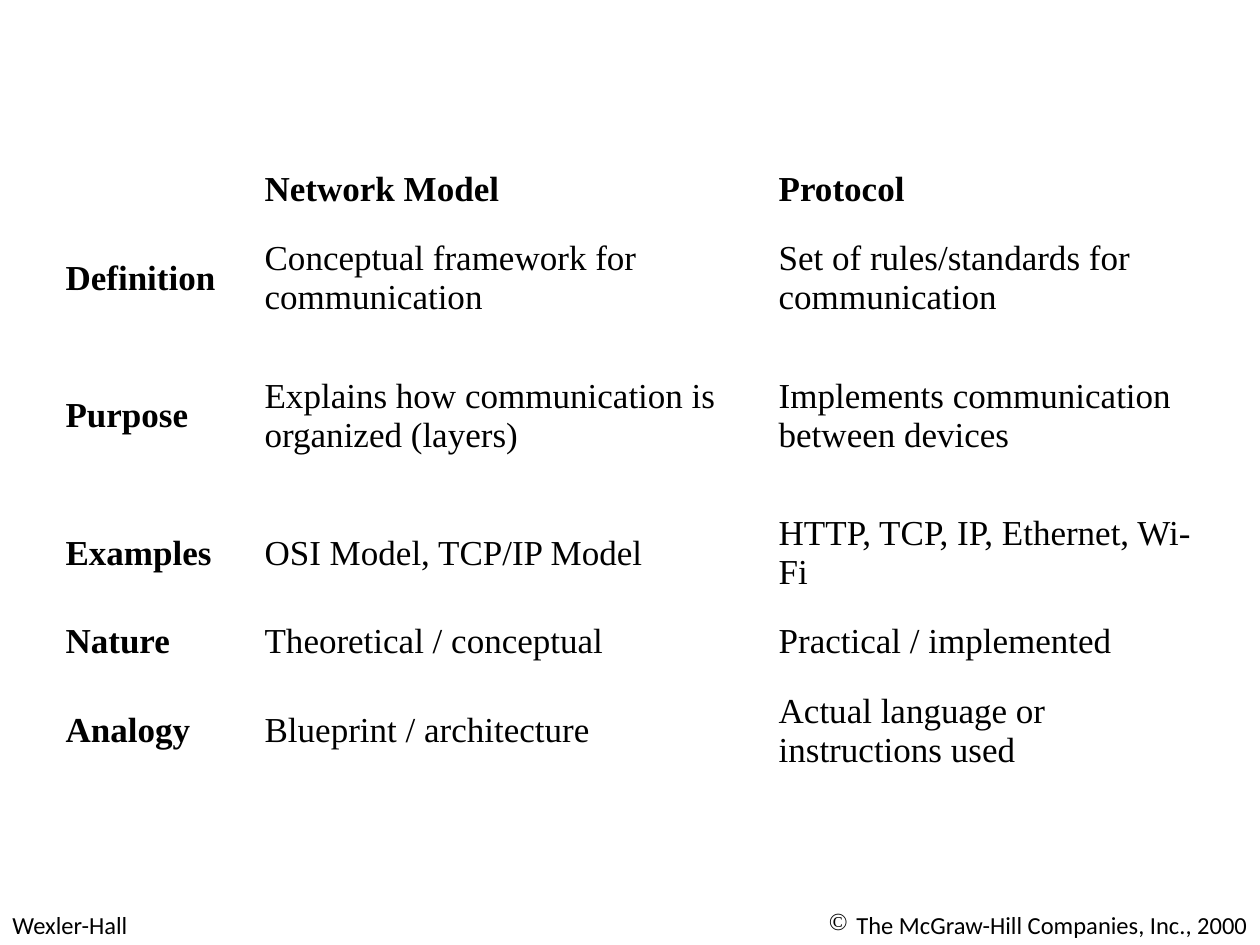
"""Build a slide with a table comparing network models and protocols."""
from dataclasses import dataclass

import pptx
import pptx.dml.color
import pptx.enum.text
import pptx.oxml
import pptx.oxml.ns
import pptx.util

Inches = pptx.util.Inches
PP_ALIGN = pptx.enum.text.PP_ALIGN
COLORS = {"text": "000000"}
COLUMN_WIDTHS = (1.58, 4.08, 3.5)
ONE_LINE, TWO_LINES, TALL = 0.51, 0.9, 1.28


@dataclass
class Row:
    label: str
    model: str
    protocol: str
    height: float


@dataclass
class Footer:
    text: str
    left: float
    width: float
    align: PP_ALIGN
    bullet: str = ""


ROWS = [
    Row("", "Network Model", "Protocol", ONE_LINE),
    Row("Definition", "Conceptual framework for communication",
        "Set of rules/standards for communication", TWO_LINES),
    Row("Purpose", "Explains how communication is organized (layers)",
        "Implements communication between devices", TALL),
    Row("Examples", "OSI Model, TCP/IP Model", "HTTP, TCP, IP, Ethernet, Wi-Fi", TWO_LINES),
    Row("Nature", "Theoretical / conceptual", "Practical / implemented", ONE_LINE),
    Row("Analogy", "Blueprint / architecture", "Actual language or instructions used", TWO_LINES),
]
FOOTERS = [
    Footer("Wexler-Hall", 0, 2.42, PP_ALIGN.LEFT),
    Footer("The McGraw-Hill Companies, Inc., 2000", 5, 5, PP_ALIGN.RIGHT, "©"),
]


def write(tf, text: str, *, font: str, size: float, bold: bool = False,
          align: PP_ALIGN = PP_ALIGN.LEFT, bullet: str = "") -> None:
    """Write one formatted paragraph into a text frame."""
    p = tf.paragraphs[0]
    p.alignment = align
    if bullet:
        pPr = p._p.get_or_add_pPr()
        pPr.set("marL", str(Inches(0.22)))
        pPr.set("indent", str(-Inches(0.22)))
        bu = pptx.oxml.parse_xml(f'<a:buChar {pptx.oxml.ns.nsdecls("a")} char="{bullet}"/>')
        pPr.append(bu)
    r = p.add_run()
    r.text = text
    r.font.name = font
    r.font.size = pptx.util.Pt(size)
    r.font.bold = bold
    r.font.color.rgb = pptx.dml.color.RGBColor.from_string(COLORS["text"])


def add_footer(slide, footer: Footer) -> None:
    """Add a footer text box along the bottom edge."""
    box = slide.shapes.add_textbox(Inches(footer.left), Inches(7.17),
                                   Inches(footer.width), Inches(0.33))
    tf = box.text_frame
    tf.word_wrap = True
    write(tf, footer.text, font="Calibri", size=14, align=footer.align, bullet=footer.bullet)


def add_comparison(slide, rows: list[Row]) -> None:
    """Add the comparison table with bold headings and no fills."""
    frame = slide.shapes.add_table(len(rows), len(COLUMN_WIDTHS), Inches(0.42), Inches(1.25),
                                   Inches(sum(COLUMN_WIDTHS)), Inches(sum(r.height for r in rows)))
    table = frame.table
    table.first_row = table.horz_banding = False
    for column, width in zip(table.columns, COLUMN_WIDTHS):
        column.width = Inches(width)
    for i, row in enumerate(rows):
        table.rows[i].height = Inches(row.height)
        for j, text in enumerate((row.label, row.model, row.protocol)):
            cell = table.cell(i, j)
            cell.fill.background()
            cell.vertical_anchor = pptx.enum.text.MSO_ANCHOR.MIDDLE
            if text:
                write(cell.text_frame, text, font="Times New Roman", size=20,
                      bold=i == 0 or j == 0)


def main() -> None:
    """Create the presentation and save it."""
    prs = pptx.Presentation()
    prs.slide_width, prs.slide_height = Inches(10), Inches(7.5)
    slide = prs.slides.add_slide(prs.slide_layouts[6])
    for footer in FOOTERS:
        add_footer(slide, footer)
    add_comparison(slide, ROWS)
    prs.save("out.pptx")


if __name__ == "__main__":
    main()
